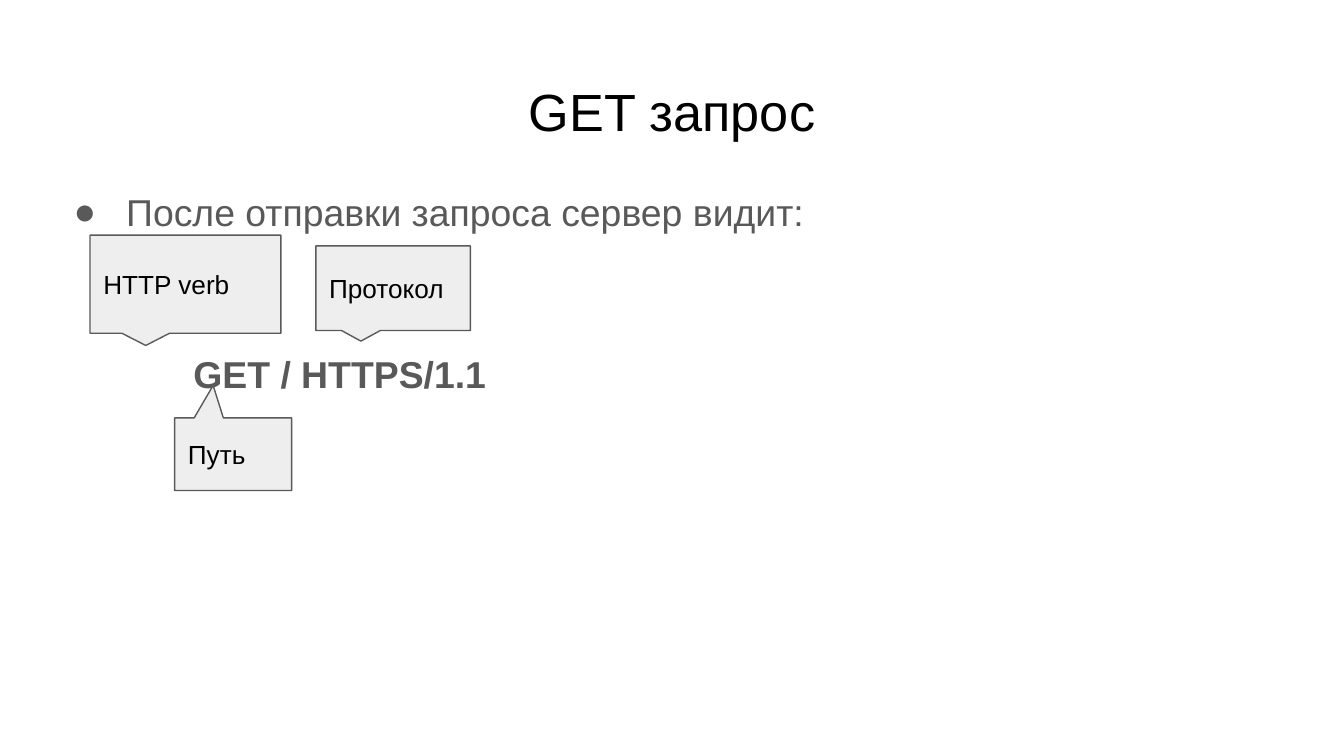
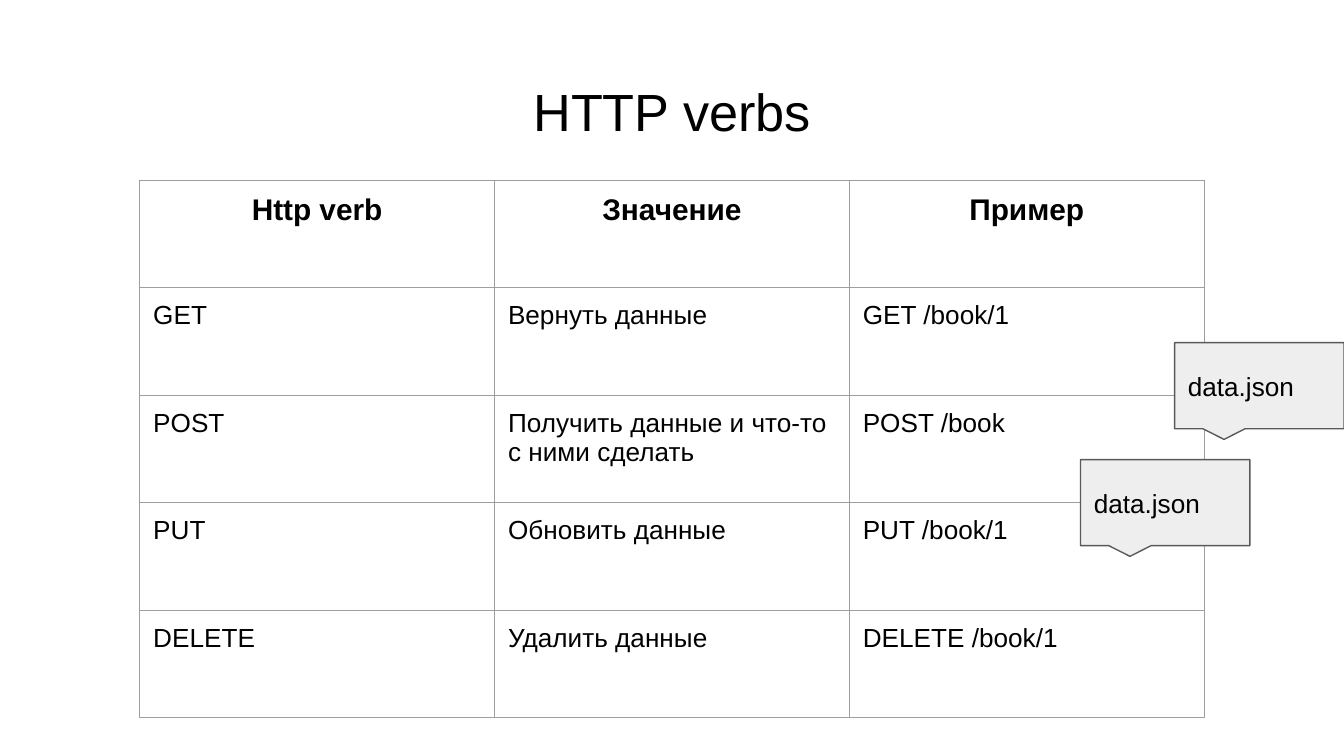
"""Build two slides about the HTTP GET request and the HTTP verbs."""
from lxml import etree
from pptx import Presentation
from pptx.dml.color import RGBColor
from pptx.enum.shapes import MSO_SHAPE
from pptx.enum.text import MSO_ANCHOR, PP_ALIGN
from pptx.oxml.ns import qn
from pptx.util import Inches, Pt

CALLOUT = MSO_SHAPE.RECTANGULAR_CALLOUT
TOP, MIDDLE = MSO_ANCHOR.TOP, MSO_ANCHOR.MIDDLE
LEFT, CENTER = PP_ALIGN.LEFT, PP_ALIGN.CENTER

COLORS = {"ink": "000000", "body": "595959", "callout": "EEEEEE",
          "grid": "9E9E9E", "paper": "FFFFFF"}
FONT = "Arial"
WIDTH = 10
HEIGHT = WIDTH * 9 / 16
MARGIN = 0.34
CONTENT_WIDTH = WIDTH - 2 * MARGIN
INSET = 0.1
LINE_WIDTH = 0.75
TITLE_TOP, TITLE_HEIGHT = 0.49, 0.63
BODY_TOP, BODY_HEIGHT = 1.26, 3.74
TABLE_TOP, COLUMN_WIDTH, ROW_HEIGHT = 1.34, 2.64, 0.8
POINT_DOWN, POINT_UP = (-0.208, 0.625), (-0.171, -0.947)

REQUEST_TITLE = "GET запрос"
REQUEST_INTRO = "После отправки запроса сервер видит:"
REQUEST_LINE = "GET / HTTPS/1.1"
REQUEST_CALLOUTS = [
    ("HTTP verb", (0.67, 1.75, 1.42, 0.73), POINT_DOWN),
    ("Путь", (1.3, 3.11, 0.87, 0.54), POINT_UP),
    ("Протокол", (2.35, 1.83, 1.15, 0.63), POINT_DOWN),
]

VERBS_TITLE = "HTTP verbs"
VERBS = [
    ("Http verb", "Значение", "Пример"),
    ("GET", "Вернуть данные", "GET /book/1"),
    ("POST", "Получить данные и что-то с ними сделать", "POST /book "),
    ("PUT", "Обновить данные", "PUT /book/1"),
    ("DELETE", "Удалить данные", "DELETE /book/1"),
]
VERB_CALLOUTS = [
    ("data.json", (8.74, 2.55, 1.26, 0.64), POINT_DOWN),
    ("data.json", (8.04, 3.42, 1.26, 0.64), POINT_DOWN),
]


def rgb(name):
    return RGBColor.from_string(COLORS[name])


def set_insets(holder):
    for side in ("left", "right", "top", "bottom"):
        setattr(holder, f"margin_{side}", Inches(INSET))


def write(paragraph, text, size, color="ink", bold=False, align=LEFT):
    paragraph.text = text
    paragraph.alignment = align
    font = paragraph.font
    font.name, font.size, font.bold = FONT, Pt(size), bold
    font.color.rgb = rgb(color)


def indent(paragraph, margin, first=0):
    properties = paragraph._p.get_or_add_pPr()
    properties.set("marL", str(Inches(margin)))
    properties.set("indent", str(Inches(first)))
    return properties


def add_bullet(paragraph, char, color):
    properties = indent(paragraph, 0.5, -0.39)
    bullet_color = etree.SubElement(properties, qn("a:buClr"))
    etree.SubElement(bullet_color, qn("a:srgbClr"), val=COLORS[color])
    etree.SubElement(properties, qn("a:buFont"), typeface=FONT)
    etree.SubElement(properties, qn("a:buChar"), char=char)
    defaults = properties.find(qn("a:defRPr"))
    if defaults is not None:
        properties.append(defaults)


def add_text_frame(slide, left, top, width, height):
    frame = slide.shapes.add_textbox(*map(Inches, (left, top, width, height))).text_frame
    frame.word_wrap = True
    frame.vertical_anchor = TOP
    set_insets(frame)
    return frame


def add_slide(deck, title):
    slide = deck.slides.add_slide(deck.slide_layouts[6])
    slide.background.fill.solid()
    slide.background.fill.fore_color.rgb = rgb("paper")
    frame = add_text_frame(slide, MARGIN, TITLE_TOP, CONTENT_WIDTH, TITLE_HEIGHT)
    write(frame.paragraphs[0], title, 28, align=CENTER)
    return slide


def add_callouts(slide, callouts):
    for label, box, tip in callouts:
        callout = slide.shapes.add_shape(CALLOUT, *map(Inches, box))
        callout.adjustments[0], callout.adjustments[1] = tip
        callout.shadow.inherit = False
        callout.fill.solid()
        callout.fill.fore_color.rgb = rgb("callout")
        callout.line.color.rgb = rgb("body")
        callout.line.width = Pt(LINE_WIDTH)
        frame = callout.text_frame
        frame.word_wrap = True
        frame.vertical_anchor = MIDDLE
        set_insets(frame)
        write(frame.paragraphs[0], label, 14)


def add_borders(cell):
    properties = cell._tc.get_or_add_tcPr()
    for position, side in enumerate(("lnL", "lnR", "lnT", "lnB")):
        border = etree.Element(qn(f"a:{side}"), w=str(Pt(LINE_WIDTH)))
        fill = etree.SubElement(border, qn("a:solidFill"))
        etree.SubElement(fill, qn("a:srgbClr"), val=COLORS["grid"])
        properties.insert(position, border)


def add_request_body(slide):
    frame = add_text_frame(slide, MARGIN, BODY_TOP, CONTENT_WIDTH, BODY_HEIGHT)
    intro, request = frame.paragraphs[0], frame.add_paragraph()
    write(intro, REQUEST_INTRO, 20, "body")
    add_bullet(intro, "●", "body")
    write(request, REQUEST_LINE, 20, "body", bold=True)
    indent(request, 1)
    request.space_before = Pt(59)
    for paragraph in (intro, request):
        paragraph.line_spacing = 1.15


def add_verb_table(slide):
    rows, columns = len(VERBS), len(VERBS[0])
    width, height = columns * COLUMN_WIDTH, rows * ROW_HEIGHT
    box = ((WIDTH - width) / 2, TABLE_TOP, width, height)
    table = slide.shapes.add_table(rows, columns, *map(Inches, box)).table
    table.first_row = table.horz_banding = False
    for column in table.columns:
        column.width = Inches(COLUMN_WIDTH)
    for index, (row, texts) in enumerate(zip(table.rows, VERBS)):
        row.height = Inches(ROW_HEIGHT)
        header = index == 0
        for cell, text in zip(row.cells, texts):
            set_insets(cell)
            cell.fill.background()
            add_borders(cell)
            write(cell.text_frame.paragraphs[0], text, 16 if header else 14,
                  bold=header, align=CENTER if header else LEFT)


deck = Presentation()
deck.slide_width, deck.slide_height = Inches(WIDTH), Inches(HEIGHT)

request_slide = add_slide(deck, REQUEST_TITLE)
add_request_body(request_slide)
add_callouts(request_slide, REQUEST_CALLOUTS)

verbs_slide = add_slide(deck, VERBS_TITLE)
add_verb_table(verbs_slide)
add_callouts(verbs_slide, VERB_CALLOUTS)

deck.save("out.pptx")
